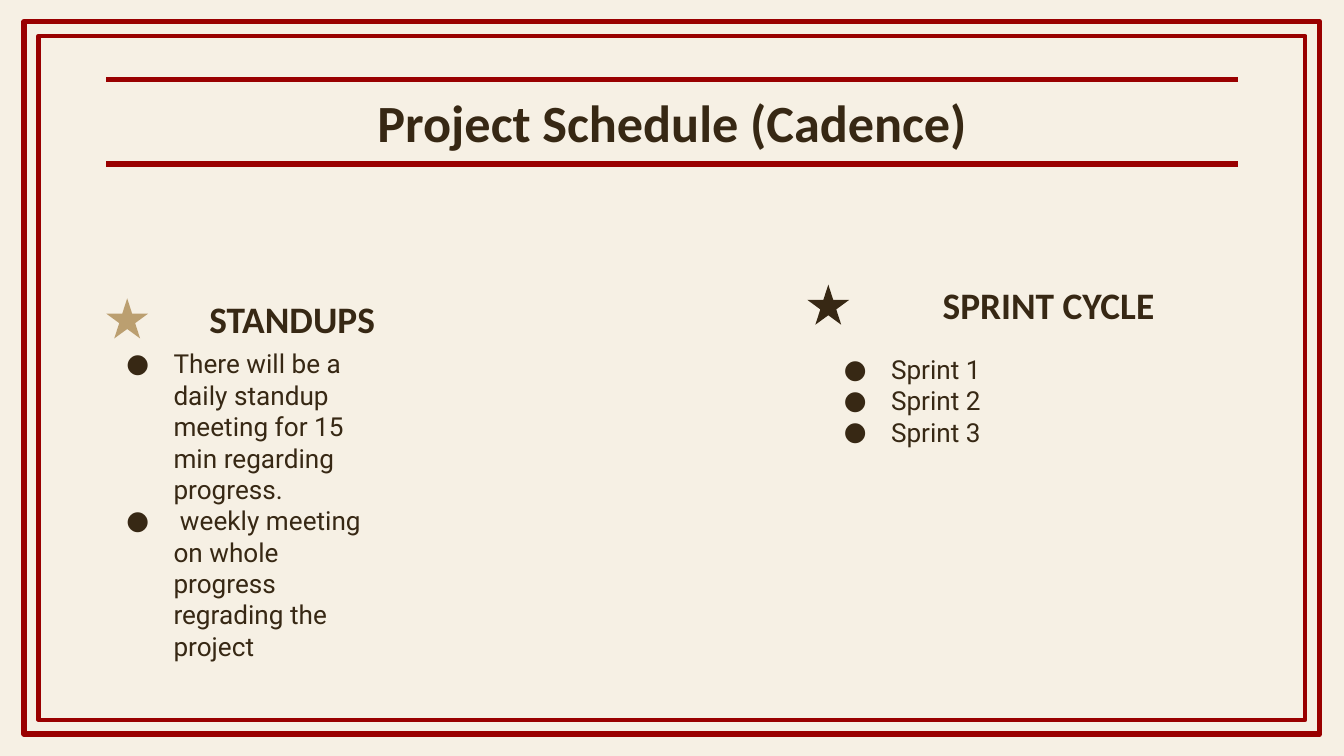
from lxml import etree
from pptx import Presentation
from pptx.dml.color import RGBColor
from pptx.enum.shapes import MSO_CONNECTOR, MSO_SHAPE
from pptx.enum.text import MSO_ANCHOR, MSO_AUTO_SIZE, PP_ALIGN
from pptx.oxml.ns import qn
from pptx.util import Cm, Pt

CREAM = RGBColor(0xF6, 0xF0, 0xE4)
RED = RGBColor(0x99, 0x00, 0x00)
BROWN = RGBColor(0x37, 0x28, 0x14)
TAN = RGBColor(0xBB, 0x9F, 0x70)
RECTANGLE, STAR = MSO_SHAPE.RECTANGLE, MSO_SHAPE.STAR_5_POINT
STRAIGHT = MSO_CONNECTOR.STRAIGHT
TOP, MIDDLE = MSO_ANCHOR.TOP, MSO_ANCHOR.MIDDLE
LEFT, CENTER, RIGHT = PP_ALIGN.LEFT, PP_ALIGN.CENTER, PP_ALIGN.RIGHT
NO_AUTOFIT = MSO_AUTO_SIZE.NONE

SLIDE_WIDTH, SLIDE_HEIGHT = 25.4, 14.29
MARGIN = 2.01
TITLE_TOP, TITLE_HEIGHT = 1.5, 1.6


def write_text(shape, lines, size, font, bold, align, anchor, inset=0):
    frame = shape.text_frame
    frame.word_wrap = True
    frame.auto_size = NO_AUTOFIT
    frame.vertical_anchor = anchor
    frame.margin_left = frame.margin_right = Cm(inset)
    frame.margin_top = frame.margin_bottom = Cm(inset)
    frame.text = "\n".join(lines)
    for paragraph in frame.paragraphs:
        paragraph.alignment = align
        for run in paragraph.runs:
            run.font.size = Pt(size)
            run.font.name = font
            run.font.bold = bold
            run.font.color.rgb = BROWN


def add_bullets(shape):
    for paragraph in shape.text_frame.paragraphs:
        properties = paragraph._p.get_or_add_pPr()
        properties.set("marL", str(Cm(1.27)))
        properties.set("indent", str(Cm(-0.89)))
        color = etree.SubElement(properties, qn("a:buClr"))
        etree.SubElement(color, qn("a:srgbClr"), val=str(BROWN))
        etree.SubElement(properties, qn("a:buFont"), typeface="Roboto")
        etree.SubElement(properties, qn("a:buChar"), char="●")


presentation = Presentation()
presentation.slide_width = Cm(SLIDE_WIDTH)
presentation.slide_height = Cm(SLIDE_HEIGHT)
slide = presentation.slides.add_slide(presentation.slide_layouts[5])
slide.background.fill.solid()
slide.background.fill.fore_color.rgb = CREAM

# Double border
for inset_x, inset_y, weight in [(0.46, 0.41, 3), (0.73, 0.68, 2.25)]:
    border = slide.shapes.add_shape(
        RECTANGLE, Cm(inset_x), Cm(inset_y),
        Cm(SLIDE_WIDTH - 2 * inset_x), Cm(SLIDE_HEIGHT - 2 * inset_y))
    border.shadow.inherit = False
    border.fill.background()
    border.line.color.rgb = RED
    border.line.width = Pt(weight)

# Title between two rules
title = slide.shapes.title
title.left, title.top = Cm(MARGIN), Cm(TITLE_TOP)
title.width, title.height = Cm(SLIDE_WIDTH - 2 * MARGIN), Cm(TITLE_HEIGHT)
write_text(title, ["Project Schedule (Cadence)"], 28, "Calibri", True, CENTER, MIDDLE, 0.25)

for y in (TITLE_TOP, TITLE_TOP + TITLE_HEIGHT):
    rule = slide.shapes.add_connector(
        STRAIGHT, Cm(MARGIN), Cm(y), Cm(SLIDE_WIDTH - MARGIN), Cm(y))
    rule.line.color.rgb = RED
    rule.line.width = Pt(3)
    etree.SubElement(rule._element.spPr, qn("a:effectLst"))

# Columns: left, width, heading (text, top, height),
# list (lines, top, height, anchor), star (left, top, color)
columns = [
    (MARGIN, 5.08, ("STANDUPS", 4.9, 2.24),
     (["There will be a daily standup meeting for 15 min regarding progress.",
       " weekly meeting on whole progress regrading the project"], 6.81, 5.46, MIDDLE),
     (MARGIN, 5.64, TAN)),
    (15.57, 6.25, ("SPRINT CYCLE", 5.18, 1.14),
     ([f"Sprint {number}" for number in (1, 2, 3)], 6.68, 4.55, TOP),
     (15.26, 5.38, BROWN)),
]
for left, width, heading, items, star in columns:
    text, top, height = heading
    heading_box = slide.shapes.add_textbox(Cm(left), Cm(top), Cm(width), Cm(height))
    write_text(heading_box, [text], 20, "Calibri", True, RIGHT, MIDDLE)

    lines, top, height, anchor = items
    list_box = slide.shapes.add_textbox(Cm(left), Cm(top), Cm(width), Cm(height))
    write_text(list_box, lines, 14, "Roboto", False, LEFT, anchor)
    add_bullets(list_box)

    star_left, star_top, color = star
    star_shape = slide.shapes.add_shape(STAR, Cm(star_left), Cm(star_top), Cm(0.79), Cm(0.76))
    star_shape.shadow.inherit = False
    star_shape.fill.solid()
    star_shape.fill.fore_color.rgb = color
    star_shape.line.fill.background()

presentation.save("out.pptx")
